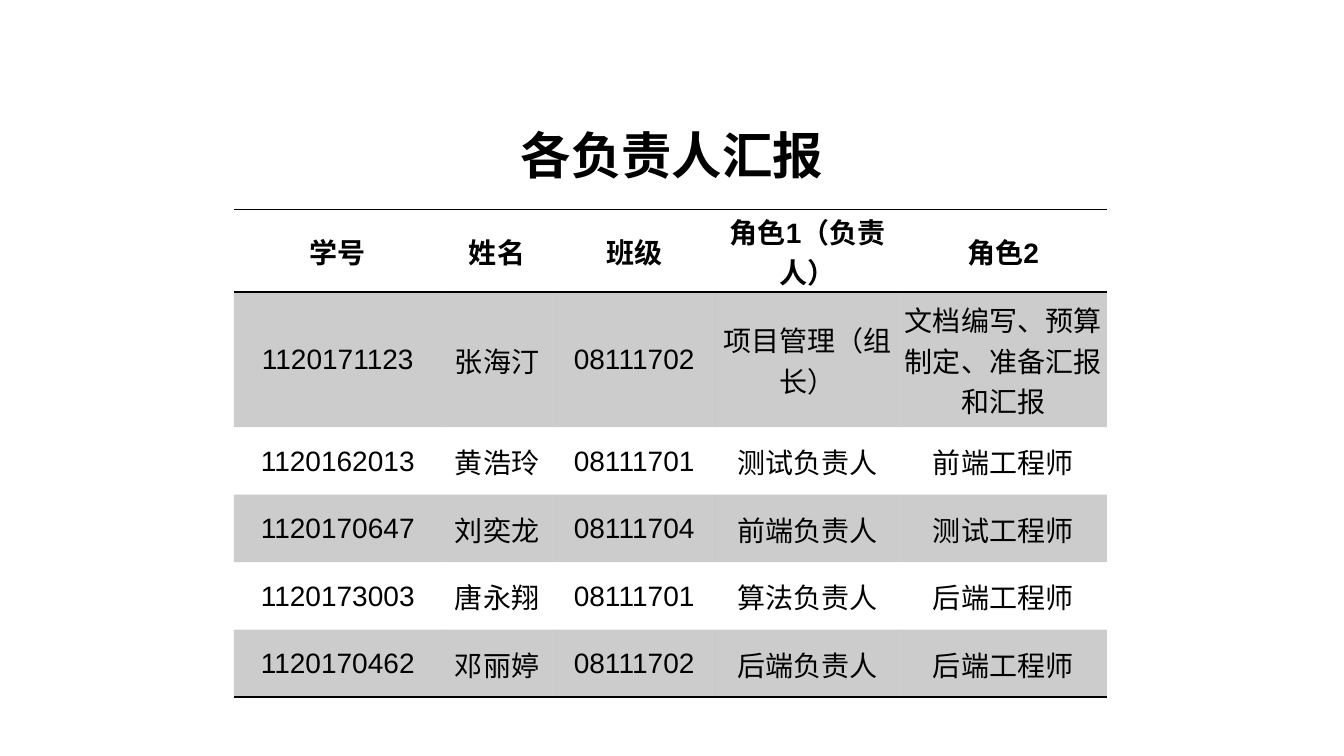
from lxml.etree import SubElement
from pptx import Presentation
from pptx.dml.color import RGBColor
from pptx.enum.text import MSO_ANCHOR as Anchor, PP_ALIGN as Align
from pptx.oxml.ns import qn
from pptx.util import Inches, Pt

BLACK = RGBColor(0x00, 0x00, 0x00)
FONT = "Arial"
PLAIN_TABLE_STYLE = "{2D5ABB26-0587-4C30-8999-92F81FD0307C}"

COLUMN_WIDTHS = [2.06, 1.1, 1.62, 1.82, 2.06]
ROW_HEIGHTS = [0.67, 1.34, 0.67, 0.67, 0.67, 0.67]
MEMBERS = [
    ["学号", "姓名", "班级", "角色1（负责人）", "角色2"],
    ["1120171123", "张海汀", "08111702", "项目管理（组长）", "文档编写、预算制定、准备汇报和汇报"],
    ["1120162013", "黄浩玲", "08111701", "测试负责人", "前端工程师"],
    ["1120170647", "刘奕龙", "08111704", "前端负责人", "测试工程师"],
    ["1120173003", "唐永翔", "08111701", "算法负责人", "后端工程师"],
    ["1120170462", "邓丽婷", "08111702", "后端负责人", "后端工程师"],
]


def format_paragraph(paragraph, size, bold):
    paragraph.alignment = Align.CENTER
    font = paragraph.font
    font.name, font.size, font.bold = FONT, Pt(size), bold
    font.color.rgb = BLACK


def add_title(slide, text):
    title = slide.shapes.title
    title.left, title.top = Inches(3.7), Inches(0.91)
    title.width, title.height = Inches(5.93), Inches(0.98)
    frame = title.text_frame
    frame.text = text
    frame.vertical_anchor = Anchor.BOTTOM
    paragraph = frame.paragraphs[0]
    paragraph.line_spacing = 0.9
    format_paragraph(paragraph, 36, True)


def add_border(cell_properties, side):
    line = SubElement(cell_properties, qn(f"a:ln{side}"), w=str(Pt(1)))
    fill = SubElement(line, qn("a:solidFill"))
    SubElement(fill, qn("a:srgbClr"), val=str(BLACK))


def fill_cell(cell, text, bold, borders, shaded):
    cell.text = text
    cell.vertical_anchor = Anchor.MIDDLE
    cell.margin_left = cell.margin_top = cell.margin_right = Inches(0.01)
    cell.margin_bottom = 0
    format_paragraph(cell.text_frame.paragraphs[0], 20, bold)

    # Borders come before the fill in the cell properties
    cell_properties = cell.text_frame._txBody.getparent().find(qn("a:tcPr"))
    for side in borders:
        add_border(cell_properties, side)
    if shaded:
        cell.fill.solid()
        cell.fill.fore_color.rgb = BLACK
        color = cell_properties.find(qn("a:solidFill")).find(qn("a:srgbClr"))
        SubElement(color, qn("a:alpha"), val="20000")
    else:
        cell.fill.background()


def add_member_table(slide):
    frame = slide.shapes.add_table(
        len(MEMBERS), len(COLUMN_WIDTHS), Inches(2.32), Inches(2.08),
        Inches(sum(COLUMN_WIDTHS)), Inches(sum(ROW_HEIGHTS)))
    table = frame.table
    table.first_row = table.horz_banding = False
    for style in frame.element.iter(qn("a:tableStyleId")):
        style.text = PLAIN_TABLE_STYLE
    for column, width in zip(table.columns, COLUMN_WIDTHS):
        column.width = Inches(width)

    borders = {0: "TB", len(MEMBERS) - 1: "B"}
    for index, (row, texts) in enumerate(zip(table.rows, MEMBERS)):
        row.height = Inches(ROW_HEIGHTS[index])
        for cell, text in zip(row.cells, texts):
            fill_cell(cell, text, index == 0, borders.get(index, ""), index % 2 == 1)


def main():
    presentation = Presentation()
    presentation.slide_width = Inches(13.33)
    presentation.slide_height = Inches(7.5)
    slide = presentation.slides.add_slide(presentation.slide_layouts[5])  # Title Only
    add_title(slide, "各负责人汇报")
    add_member_table(slide)
    presentation.save("out.pptx")


if __name__ == "__main__":
    main()
